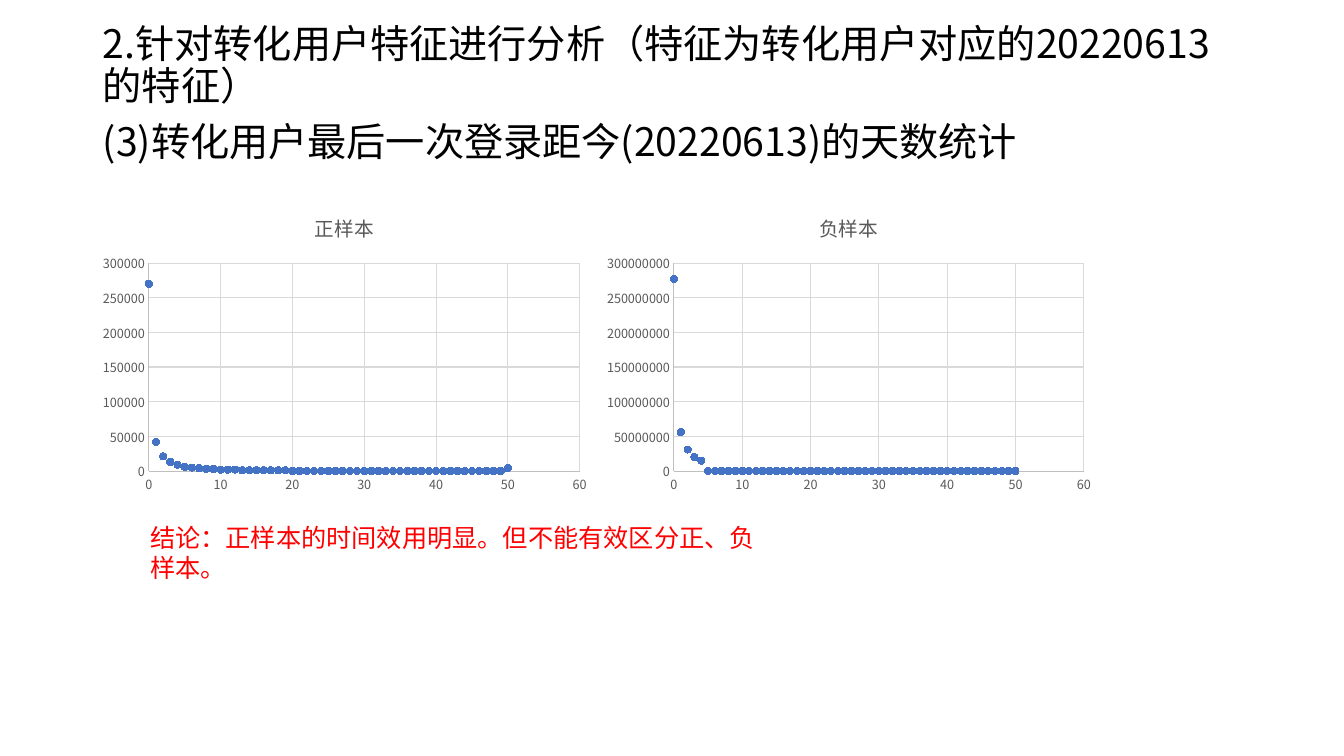
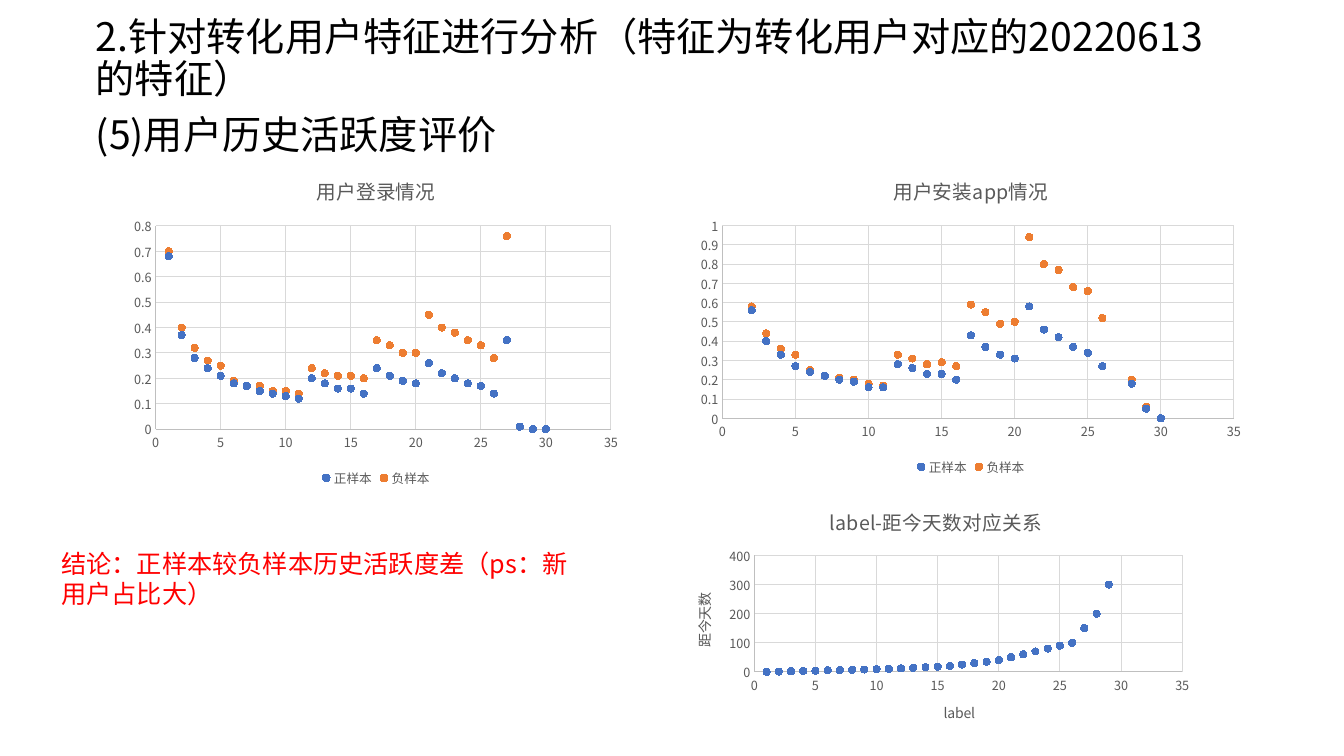
from lxml.etree import SubElement
from pptx import Presentation
from pptx.chart.data import XyChartData
from pptx.dml.color import RGBColor
from pptx.enum.chart import XL_CHART_TYPE, XL_LEGEND_POSITION, XL_MARKER_STYLE, XL_TICK_MARK
from pptx.enum.text import MSO_AUTO_SIZE, MSO_ANCHOR, PP_ALIGN
from pptx.oxml.ns import qn
from pptx.util import Inches, Pt

COLORS = {
    "heading": "000000",
    "conclusion": "FF0000",
    "label": "595959",
    "axis": "BFBFBF",
    "grid": "D9D9D9",
    "正样本": "4472C4",
    "负样本": "ED7D31",
}
FONT = "Noto Sans CJK SC"
HEADING = "2.针对转化用户特征进行分析（特征为转化用户对应的20220613的特征）"

# Days since last login, ordered by number of users
positive_days = [*range(7), 50, *range(7, 23), 25, 23, 24, *range(26, 30), 31, 30, 32, 34, 36,
                 33, 35, 41, 43, 40, 39, 42, 37, 38, 47, 48, 44, 45, 49, 46]
positive_users = [270000, 42000, 21000, 13000, 9000, 6000, 5000, 4000, 4000, 3000, 3000,
                  *[2000] * 3, *[1000] * 7, *[0] * 30]
negative_days = [*range(5), 50, 5, 6, 25, 7, 14, 15, 23, 8, 16, 30, 9, 22, 31, 28, 26, 10, 24,
                 13, 27, 37, 11, 29, 12, 36, 34, 35, 33, 32, 17, 38, 18, 49, 21, 41, 19, 20,
                 42, 44, 43, 48, 39, 46, 45, 40, 47]
negative_users = [277000000, 56000000, 31000000, 20000000, 15000000, *[0] * 46]

# Activity per label
labels = range(1, 31)
login_positive = [0.68, 0.37, 0.28, 0.24, 0.21, 0.18, 0.17, 0.15, 0.14, 0.13,
                  0.12, 0.2, 0.18, 0.16, 0.16, 0.14, 0.24, 0.21, 0.19, 0.18,
                  0.26, 0.22, 0.2, 0.18, 0.17, 0.14, 0.35, 0.01, 0, 0]
login_negative = [0.7, 0.4, 0.32, 0.27, 0.25, 0.19, 0.17, 0.17, 0.15, 0.15,
                  0.14, 0.24, 0.22, 0.21, 0.21, 0.2, 0.35, 0.33, 0.3, 0.3,
                  0.45, 0.4, 0.38, 0.35, 0.33, 0.28, 0.76, 0.01, 0, 0]
install_positive = [1.43, 0.56, 0.4, 0.33, 0.27, 0.24, 0.22, 0.2, 0.19, 0.16,
                    0.16, 0.28, 0.26, 0.23, 0.23, 0.2, 0.43, 0.37, 0.33, 0.31,
                    0.58, 0.46, 0.42, 0.37, 0.34, 0.27, 7.43, 0.18, 0.05, 0]
install_negative = [1.33, 0.58, 0.44, 0.36, 0.33, 0.25, 0.22, 0.21, 0.2, 0.18,
                    0.17, 0.33, 0.31, 0.28, 0.29, 0.27, 0.59, 0.55, 0.49, 0.5,
                    0.94, 0.8, 0.77, 0.68, 0.66, 0.52, 20.38, 0.2, 0.06, 0]
days_per_label = [*range(11), 12, 14, 16, 18, 20, 25, 30, 35, 40,
                  50, 60, 70, 80, 90, 100, 150, 200, 300]

PAGES = [
    {
        "subheading": "(3)转化用户最后一次登录距今(20220613)的天数统计",
        "body_at": (0.92, 0.19),
        "conclusion": "结论：正样本的时间效用明显。但不能有效区分正、负样本。",
        "conclusion_at": (1.39, 5.13, 6.43, 0.71),
        "charts": [
            {"title": "正样本", "at": (0.92, 1.95, 5, 3),
             "series": [("正样本", positive_days, positive_users)]},
            {"title": "负样本", "at": (5.92, 1.95, 5, 3),
             "series": [("负样本", negative_days, negative_users)]},
        ],
    },
    {
        "subheading": "(5)用户历史活跃度评价",
        "body_at": (0.85, 0.12),
        "conclusion": "结论：正样本较负样本历史活跃度差（ps：新用户占比大）",
        "conclusion_at": (0.51, 5.39, 5.23, 0.71),
        "charts": [
            {"title": "label-距今天数对应关系", "at": (6.67, 4.87, 5.23, 2.51),
             "axis_titles": ("label", "距今天数"),
             "series": [("距今天数", labels, days_per_label)]},
            {"title": "用户登录情况", "at": (1.23, 1.57, 5, 3.3),
             "series": [("正样本", labels, login_positive),
                        ("负样本", labels, login_negative)]},
            {"title": "用户安装app情况", "at": (6.84, 1.57, 5.58, 3.19), "maximum": 1,
             "series": [("正样本", labels, install_positive),
                        ("负样本", labels, install_negative)]},
        ],
    },
]


def set_font(font, size, color):
    """Give a font the deck's typeface, for Latin and Chinese, with a size and colour."""
    font.size = Pt(size)
    font.bold = False
    font.name = FONT
    font.color.rgb = RGBColor.from_string(COLORS[color])
    SubElement(font._rPr, qn("a:ea"), typeface=FONT)


def add_scatter(page, title, at, series, axis_titles=(None, None), maximum=None):
    """Add a scatter chart in the deck's style."""
    data = XyChartData()
    for name, x_values, y_values in series:
        points = data.add_series(name)
        for x, y in zip(x_values, y_values):
            points.add_data_point(x, y)
    chart = page.shapes.add_chart(XL_CHART_TYPE.XY_SCATTER, *map(Inches, at), data).chart
    set_font(chart.font, 10, "heading")

    chart.has_title = True
    chart.chart_title.include_in_layout = False
    span = chart.chart_title.text_frame.paragraphs[0].add_run()
    span.text = title
    set_font(span.font, 14, "label")

    chart.has_legend = len(series) > 1
    if chart.has_legend:
        chart.legend.position = XL_LEGEND_POSITION.BOTTOM
        chart.legend.include_in_layout = False
        set_font(chart.legend.font, 9, "label")

    for axis, axis_title in zip((chart.category_axis, chart.value_axis), axis_titles):
        axis.major_tick_mark = axis.minor_tick_mark = XL_TICK_MARK.NONE
        axis.has_major_gridlines = True
        for line, color in ((axis.format.line, "axis"), (axis.major_gridlines.format.line, "grid")):
            line.width = Pt(0.75)
            line.color.rgb = RGBColor.from_string(COLORS[color])
        set_font(axis.tick_labels.font, 9, "label")
        if axis_title:
            frame = axis.axis_title.text_frame
            span = frame.paragraphs[0].add_run()
            span.text = axis_title
            set_font(span.font, 10, "label")
            if axis is not chart.category_axis and axis_title == axis_titles[1]:
                frame._txBody.bodyPr.set("rot", "-5400000")
                frame._txBody.bodyPr.set("vert", "horz")
    if maximum is not None:
        chart.value_axis.maximum_scale = maximum

    plot = chart.plots[0]
    plot.vary_by_categories = False
    for points, color in zip(plot.series, ("正样本", "负样本")):
        points.format.line.fill.background()
        points.marker.style = XL_MARKER_STYLE.CIRCLE
        points.marker.size = 5
        rgb = RGBColor.from_string(COLORS[color])
        points.marker.format.fill.solid()
        points.marker.format.fill.fore_color.rgb = rgb
        points.marker.format.line.color.rgb = rgb


deck = Presentation()
deck.slide_width = Inches(13.33)
deck.slide_height = Inches(7.5)

for content in PAGES:
    page = deck.slides.add_slide(deck.slide_layouts[1])
    title = page.shapes.title
    title.element.getparent().remove(title.element)

    body = page.placeholders[1]
    body.left, body.top = map(Inches, content["body_at"])
    body.width, body.height = Inches(11.5), Inches(4.76)
    frame = body.text_frame
    frame.auto_size = MSO_AUTO_SIZE.NONE
    frame.vertical_anchor = MSO_ANCHOR.TOP
    for para, text in ((frame.paragraphs[0], HEADING),
                       (frame.add_paragraph(), content["subheading"])):
        para.line_spacing = 0.9
        para.space_before = Pt(10)
        para.alignment = PP_ALIGN.LEFT
        properties = para._p.get_or_add_pPr()
        properties.set("marL", "0")
        properties.set("indent", "0")
        SubElement(properties, qn("a:buNone"))
        span = para.add_run()
        span.text = text
        set_font(span.font, 28, "heading")

    box = page.shapes.add_textbox(*map(Inches, content["conclusion_at"]))
    box.text_frame.word_wrap = True
    box.text_frame.auto_size = MSO_AUTO_SIZE.SHAPE_TO_FIT_TEXT
    span = box.text_frame.paragraphs[0].add_run()
    span.text = content["conclusion"]
    set_font(span.font, 18, "conclusion")

    for chart_content in content["charts"]:
        add_scatter(page, **chart_content)

deck.save("out.pptx")
